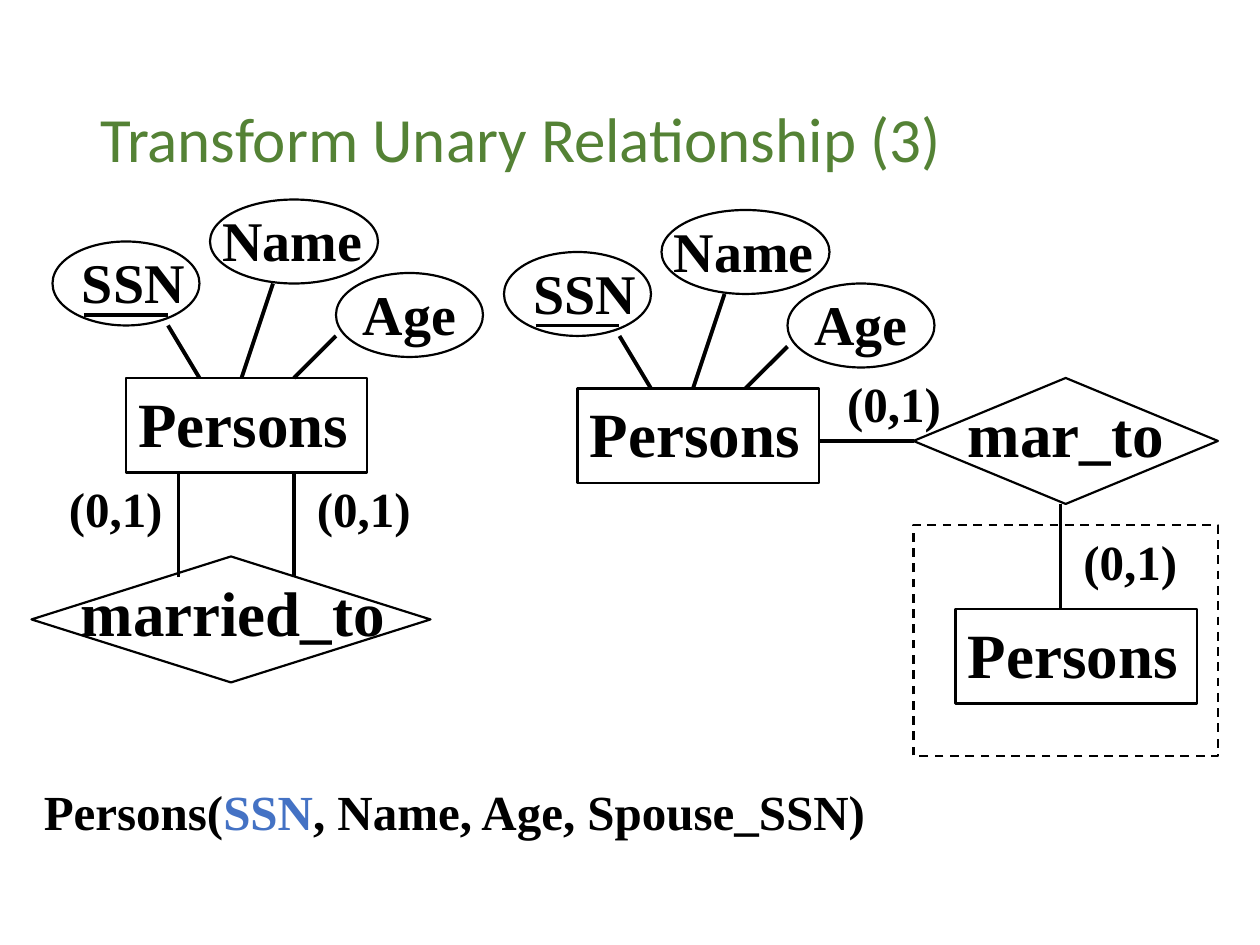
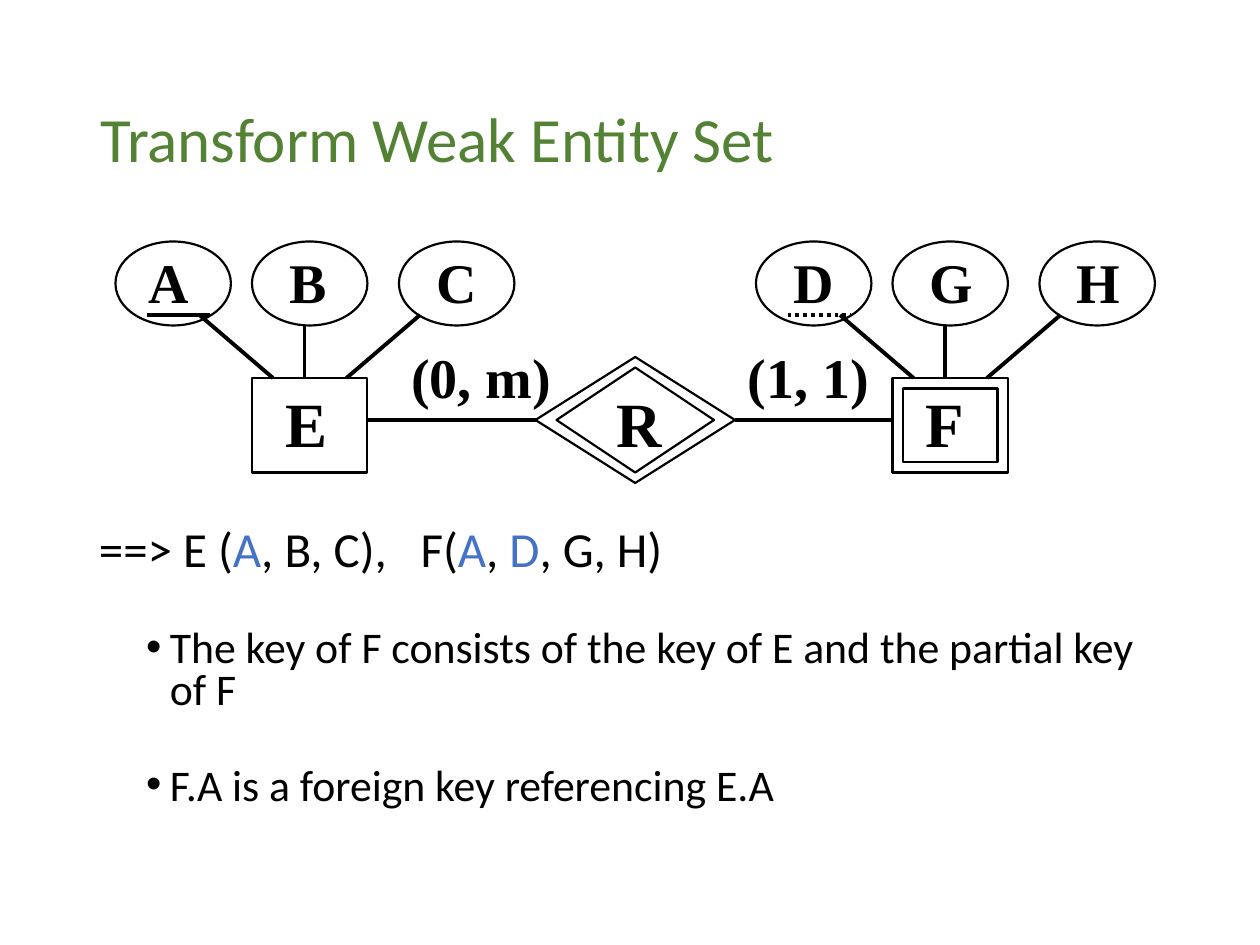
from dataclasses import dataclass
from typing import NamedTuple, Optional

import lxml.etree
import pptx
import pptx.dml.color
import pptx.enum.dml
import pptx.enum.shapes
import pptx.enum.text
import pptx.oxml.ns
import pptx.util

EMU_PER_PX = 9525
SHAPE = pptx.enum.shapes.MSO_SHAPE
DASH = pptx.enum.dml.MSO_LINE
qn = pptx.oxml.ns.qn


@dataclass(frozen=True)
class Theme:
    ink: str = "000000"
    title: str = "548235"
    key: str = "4472C4"
    sans: str = "Calibri"
    serif: str = "Times New Roman"
    title_size: int = 36
    entity_size: int = 36
    attribute_size: int = 32
    cardinality_size: int = 28
    schema_size: int = 28
    bullet_size: int = 25
    outline: float = 1.25
    link: float = 2.25


THEME = Theme()


class Box(NamedTuple):
    x: int
    y: int
    w: int
    h: int


class Node(NamedTuple):
    kind: SHAPE
    box: Box
    dash: Optional[DASH] = None


class Link(NamedTuple):
    x1: int
    y1: int
    x2: int
    y2: int
    dash: Optional[DASH] = None


class Label(NamedTuple):
    text: str
    x: int
    y: int
    w: int
    size: int


class Piece(NamedTuple):
    text: str
    is_key: bool = False


def px(n: int) -> pptx.util.Emu:
    return pptx.util.Emu(n * EMU_PER_PX)


def style_run(r, font: str, size: int, color: str, bold: bool = False) -> None:
    r.font.name = font
    r.font.size = pptx.util.Pt(size)
    r.font.bold = bold
    r.font.color.rgb = pptx.dml.color.RGBColor.from_string(color)


def style_line(line, width: float, dash: Optional[DASH]) -> None:
    line.color.rgb = pptx.dml.color.RGBColor.from_string(THEME.ink)
    line.width = pptx.util.Pt(width)
    if dash is not None:
        line.dash_style = dash


def add_text_frame(s, box: Box):
    tf = s.shapes.add_textbox(*map(px, box)).text_frame
    tf.word_wrap = True
    return tf


def draw_node(s, node: Node) -> None:
    sp = s.shapes.add_shape(node.kind, *map(px, node.box))
    sp.shadow.inherit = False
    sp.fill.background()
    style_line(sp.line, THEME.outline, node.dash)


def draw_link(s, link: Link) -> None:
    ends = map(px, (link.x1, link.y1, link.x2, link.y2))
    cx = s.shapes.add_connector(pptx.enum.shapes.MSO_CONNECTOR.STRAIGHT, *ends)
    style_line(cx.line, THEME.link, link.dash)
    lxml.etree.SubElement(cx._element.spPr, qn("a:effectLst"))


def draw_label(s, label: Label) -> None:
    height = round(label.size * 1.55) + 11
    tf = add_text_frame(s, Box(label.x, label.y, label.w, height))
    tf.text = label.text
    style_run(tf.paragraphs[0].runs[0], THEME.serif, label.size, THEME.ink, True)


DRAW = {Node: draw_node, Link: draw_link, Label: draw_label}


def draw(s, *parts, dx: int = 0, dy: int = 0) -> None:
    """Draw the parts in order, moved by dx and dy."""
    for part in parts:
        if isinstance(part, Node):
            b = part.box
            part = part._replace(box=b._replace(x=b.x + dx, y=b.y + dy))
        elif isinstance(part, Link):
            part = Link(part.x1 + dx, part.y1 + dy, part.x2 + dx, part.y2 + dy, part.dash)
        else:
            part = part._replace(x=part.x + dx, y=part.y + dy)
        DRAW[type(part)](s, part)


def add_schema(p, pieces: list[Piece], font: str, bold: bool = False) -> None:
    """Write a relation schema with its key attributes highlighted."""
    for piece in pieces:
        r = p.add_run()
        r.text = piece.text
        color = THEME.key if piece.is_key else THEME.ink
        style_run(r, font, THEME.schema_size, color, bold)


def add_tab_stop(p, position: int) -> None:
    tabs = lxml.etree.SubElement(p._p.get_or_add_pPr(), qn("a:tabLst"))
    lxml.etree.SubElement(tabs, qn("a:tab"), pos=str(px(position)), algn="l")


def add_bullet(p) -> None:
    pPr = p._p.get_or_add_pPr()
    pPr.set("marL", str(px(54)))
    pPr.set("indent", str(px(-18)))
    lxml.etree.SubElement(pPr, qn("a:buFont"), typeface="Arial")
    lxml.etree.SubElement(pPr, qn("a:buChar"), char="•")


def add_slide(prs, title: str):
    s = prs.slides.add_slide(prs.slide_layouts[6])
    tf = add_text_frame(s, Box(67, 39, 828, 139))
    tf.vertical_anchor = pptx.enum.text.MSO_ANCHOR.MIDDLE
    tf.text = title
    p = tf.paragraphs[0]
    p.line_spacing = 0.9
    style_run(p.runs[0], THEME.sans, THEME.title_size, THEME.title)
    return s


def draw_persons(s, x: int, y: int) -> None:
    draw(
        s,
        Label("Persons", 0, 0, 190, THEME.entity_size),
        Node(SHAPE.RECTANGLE, Box(0, 0, 184, 72)),
        dx=x, dy=y,
    )


def draw_persons_with_attributes(s, x: int, y: int) -> None:
    draw_persons(s, x, y)
    size = THEME.attribute_size
    draw(
        s,
        Label("Name", 64, -136, 136, size),
        Node(SHAPE.OVAL, Box(64, -136, 128, 64)),
        Link(112, -72, 88, 0),
        Label("SSN", -43, -104, 108, size),
        Node(SHAPE.OVAL, Box(-56, -104, 112, 64)),
        Link(-32, -48, 32, -48),
        Link(-32 + 64, -40, 56, 0),
        Label("Age", 171, -80, 104, size),
        Node(SHAPE.OVAL, Box(160, -80, 112, 64)),
        Link(160, -32, 128, 0),
        dx=x, dy=y,
    )


def draw_cardinality(s, x: int, y: int) -> None:
    draw(s, Label("(0,1)", x, y, 100, THEME.cardinality_size))


def draw_entity_set(s, x: int, name: str, attributes: str, key_inset: int,
                    key_dash: Optional[DASH] = None) -> None:
    """Draw an entity with three attributes, the first one underlined as key."""
    y = 288
    columns = zip(attributes, (-104, 0, 112), (key_inset, 19, 19))
    for attribute, left, inset in columns:
        draw(
            s,
            Label(attribute, left + inset, -104, 60, THEME.attribute_size),
            Node(SHAPE.OVAL, Box(left, -104, 88, 64)),
            dx=x, dy=y,
        )
    draw(
        s,
        Link(-80, -48, -32, -48, key_dash),
        Link(-40, -48, 16, 0),
        Link(40, -40, 40, 0),
        Link(128, -48, 72, 0),
        Label(name, 16, 0, 60, THEME.entity_size),
        Node(SHAPE.RECTANGLE, Box(0, 0, 88, 72)),
        dx=x, dy=y,
    )


def build_unary_slide(prs) -> None:
    s = add_slide(prs, "Transform Unary Relationship (3)")
    draw_persons_with_attributes(s, 96, 288)
    draw(
        s,
        Node(SHAPE.DIAMOND, Box(24, 424, 304, 96)),
        Label("married_to", 52, 432, 264, THEME.entity_size),
        Link(136, 440, 136, 360),
        Link(224, 440, 224, 360),
    )
    draw_persons_with_attributes(s, 440, 296)
    draw(
        s,
        Node(SHAPE.RECTANGLE, Box(696, 400, 232, 176), DASH.DASH),
        Node(SHAPE.DIAMOND, Box(696, 288, 232, 96)),
        Label("mar_to", 728, 296, 184, THEME.entity_size),
        Link(696, 336, 624, 336),
        Link(808, 464, 808, 384),
    )
    draw_persons(s, 728, 464)
    for x, y in ((43, 360), (232, 360), (636, 280), (816, 400)):
        draw_cardinality(s, x, y)

    tf = add_text_frame(s, Box(24, 591, 896, 54))
    schema = [Piece("Persons("), Piece("SSN", True), Piece(", Name, Age, Spouse_SSN)")]
    add_schema(tf.paragraphs[0], schema, THEME.serif, bold=True)


def build_weak_entity_slide(prs) -> None:
    s = add_slide(prs, "Transform Weak Entity Set")
    draw_entity_set(s, 192, "E", "ABC", key_inset=16)
    draw_entity_set(s, 680, "F", "DGH", key_inset=19, key_dash=DASH.ROUND_DOT)
    draw(
        s,
        Node(SHAPE.RECTANGLE, Box(688, 296, 72, 56)),
        Link(280, 320, 408, 320),
        Link(560, 320, 680, 320),
        Node(SHAPE.DIAMOND, Box(408, 272, 152, 96)),
        Node(SHAPE.DIAMOND, Box(424, 280, 120, 80)),
        Label("R", 460, 288, 64, THEME.entity_size),
        Label("(0, m)", 304, 256, 140, THEME.attribute_size),
        Label("(1, 1)", 560, 256, 124, THEME.attribute_size),
    )

    tf = add_text_frame(s, Box(66, 399, 828, 248))
    p = tf.paragraphs[0]
    p.line_spacing = 0.8
    add_tab_stop(p, 245)
    add_schema(p, [
        Piece("==> E ("), Piece("A", True), Piece(", B, C),\tF("),
        Piece("A", True), Piece(","), Piece(" D", True), Piece(", G, H)"),
    ], THEME.sans)
    for text in (
        "The key of F consists of the key of E and the partial key of F",
        "F.A is a foreign key referencing E.A",
    ):
        p = tf.add_paragraph()
        p.text = text
        p.line_spacing = 0.8
        p.space_before = pptx.util.Pt(30.5)
        add_bullet(p)
        style_run(p.runs[0], THEME.sans, THEME.bullet_size, THEME.ink)


def main() -> None:
    prs = pptx.Presentation()
    prs.slide_width, prs.slide_height = px(960), px(720)
    build_unary_slide(prs)
    build_weak_entity_slide(prs)
    prs.save("out.pptx")


if __name__ == "__main__":
    main()
